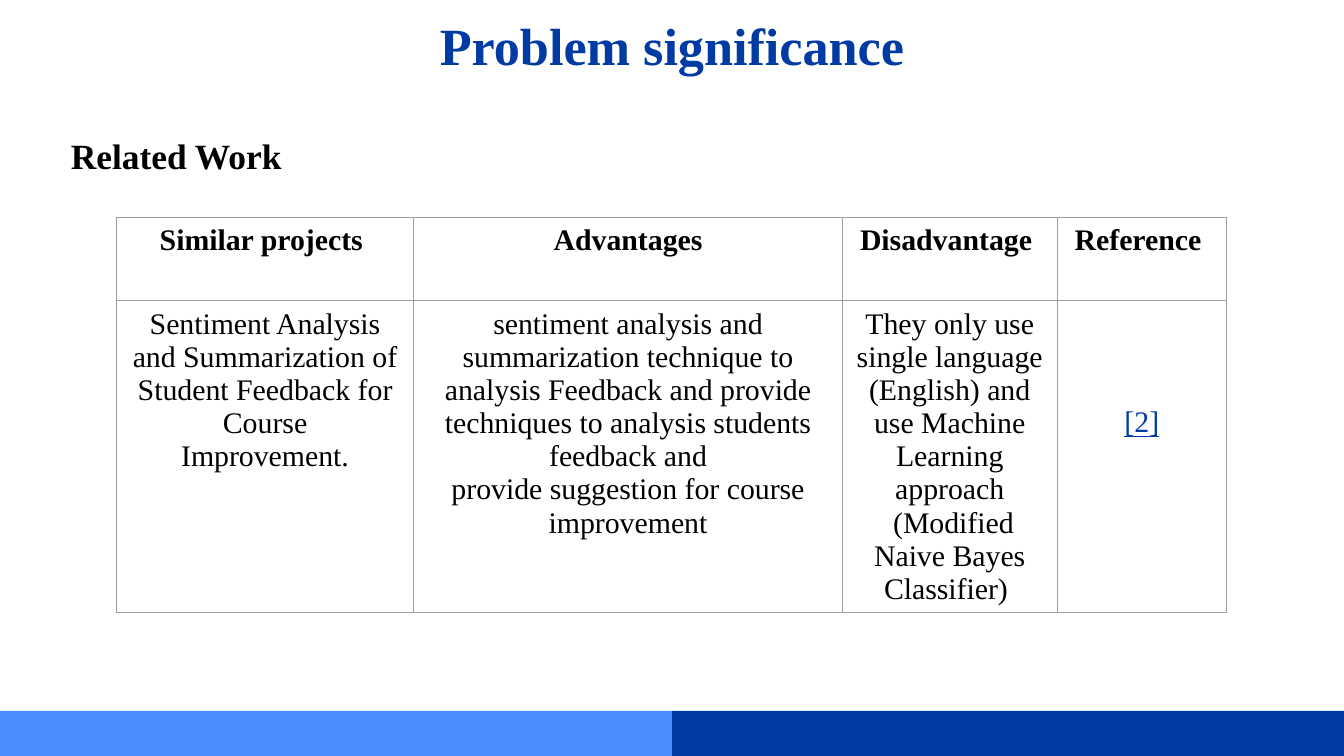
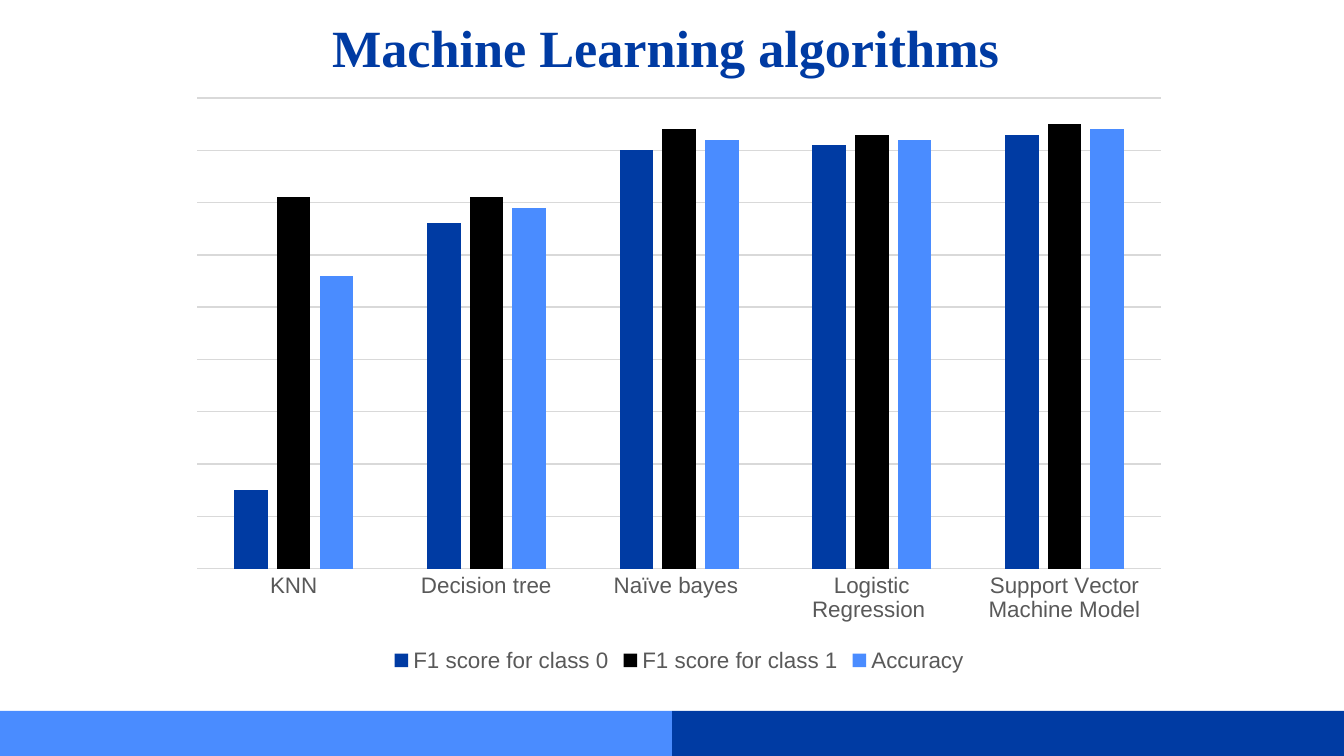
"""Build two slides on sentiment analysis: related work and algorithm scores."""
from dataclasses import dataclass
from typing import NamedTuple

from lxml.etree import SubElement
from pptx import Presentation
from pptx.chart.data import CategoryChartData
from pptx.dml.color import RGBColor
from pptx.enum.chart import XL_CHART_TYPE as ChartType, XL_LEGEND_POSITION as LegendPos
from pptx.enum.chart import XL_TICK_MARK as Tick
from pptx.enum.shapes import MSO_SHAPE as Preset
from pptx.enum.text import MSO_ANCHOR as Anchor, MSO_AUTO_SIZE as AutoSize, PP_ALIGN as Align
from pptx.oxml.ns import qn
from pptx.util import Cm, Pt


@dataclass(frozen=True)
class Theme:
    """Colours, fonts and type sizes."""
    navy: str = "003BA3"
    sky: str = "4A8CFF"
    black: str = "000000"
    label: str = "595959"
    grid: str = "D9D9D9"
    border: str = "9E9E9E"
    serif: str = "Times New Roman"
    sans: str = "Arial"
    title: float = 28
    subtitle: float = 19
    cell: float = 16
    chart: float = 12
    line: float = 0.75


class Box(NamedTuple):
    """Left, top, width and height in centimetres."""
    x: float
    y: float
    w: float
    h: float

    def emu(self) -> tuple:
        return tuple(Cm(v) for v in self)


class Band(NamedTuple):
    box: Box
    color: str


class Cell(NamedTuple):
    """Paragraphs of one table cell and their look."""
    lines: tuple
    bold: bool = False
    color: str = "000000"
    underline: bool = False
    top: float = 0.13


class Series(NamedTuple):
    name: str
    values: tuple
    color: str


T = Theme()
WIDTH, HEIGHT = 25.4, 14.29
HALF, BAND_TOP = WIDTH / 2, 13.44
BANDS = (Band(Box(HALF, BAND_TOP, HALF, HEIGHT - BAND_TOP), T.navy),
         Band(Box(0, BAND_TOP, HALF, HEIGHT - BAND_TOP), T.sky))

COLUMNS = (5.62, 8.1, 4.06, 3.2)
ROWS = (1.57, 5.89)
HEADERS = ("Similar projects ", "Advantages", "Disadvantage ", "Reference ")
RELATED_WORK = (
    tuple(Cell((h,), bold=True) for h in HEADERS),
    (Cell(("Sentiment Analysis and Summarization of Student Feedback for Course",
           "Improvement.")),
     Cell(("sentiment analysis and summarization technique to",
           "analysis Feedback and provide techniques to analysis students feedback and",
           "provide suggestion for course improvement")),
     Cell(("They only use single language ",
           "(English) and use Machine Learning approach",
           " (Modified Naive Bayes Classifier) ")),
     Cell(("[2]",), color=T.navy, underline=True, top=2)),
)

ALGORITHMS = ("KNN", "Decision tree", "Naïve bayes ", "Logistic Regression ",
              "Support Vector Machine Model")
SCORES = (Series("F1 score for class 0", (0.15, 0.66, 0.8, 0.81, 0.83), T.navy),
          Series("F1 score for class 1", (0.71, 0.71, 0.84, 0.83, 0.85), T.black),
          Series("Accuracy", (0.56, 0.69, 0.82, 0.82, 0.84), T.sky))


def rgb(color: str) -> RGBColor:
    return RGBColor.from_string(color)


def style_font(font, name: str, size: float, color: str, bold: bool = False) -> None:
    font.name, font.size, font.bold = name, Pt(size), bold
    font.color.rgb = rgb(color)


def add_run(p, text: str, size: float, color: str, bold: bool = False):
    """Centre the paragraph and add one serif run to it."""
    p.alignment = Align.CENTER
    r = p.add_run()
    r.text = text
    style_font(r.font, T.serif, size, color, bold)
    return r


def fill_placeholder(sp, box: Box, text: str, size: float, color: str, left: float = 0.25) -> None:
    """Move a placeholder and give it one bold line."""
    sp.left, sp.top, sp.width, sp.height = box.emu()
    tf = sp.text_frame
    tf.word_wrap, tf.auto_size, tf.vertical_anchor = True, AutoSize.NONE, Anchor.TOP
    tf.margin_left = Cm(left)
    tf.margin_top = tf.margin_right = tf.margin_bottom = Cm(0.25)
    p = tf.paragraphs[0]
    p.space_before = Pt(0)
    add_run(p, text, size, color, True)


def add_slide(prs, layout: int, title: str, top: float = 0):
    """Add a slide with its footer bands and title."""
    s = prs.slides.add_slide(prs.slide_layouts[layout])
    for band in BANDS:
        sp = s.shapes.add_shape(Preset.RECTANGLE, *band.box.emu())
        sp.shadow.inherit = False
        sp.fill.solid()
        sp.fill.fore_color.rgb = rgb(band.color)
        sp.line.fill.background()
    fill_placeholder(s.shapes.title, Box(0, top, WIDTH, 1.6), title, T.title, T.navy)
    return s


def draw_borders(cell) -> None:
    """Outline all four sides of a cell."""
    tc_pr = cell._tc.get_or_add_tcPr()
    for i, side in enumerate(("lnL", "lnR", "lnT", "lnB")):
        ln = tc_pr.makeelement(qn(f"a:{side}"), {"w": str(Pt(T.line))})
        SubElement(SubElement(ln, qn("a:solidFill")), qn("a:srgbClr"), val=T.border)
        tc_pr.insert(i, ln)


def add_table(s, box: Box, rows: tuple) -> None:
    """Add a plain bordered table."""
    table = s.shapes.add_table(len(ROWS), len(COLUMNS), *box.emu()).table
    table.first_row = table.horz_banding = False
    for column, width in zip(table.columns, COLUMNS):
        column.width = Cm(width)
    for row, height in zip(table.rows, ROWS):
        row.height = Cm(height)
    for i, row in enumerate(rows):
        for j, item in enumerate(row):
            cell = table.cell(i, j)
            cell.fill.background()
            cell.margin_top = Cm(item.top)
            tf = cell.text_frame
            for k, line in enumerate(item.lines):
                p = tf.add_paragraph() if k else tf.paragraphs[0]
                r = add_run(p, line, T.cell, item.color, item.bold)
                r.font.underline = item.underline
            draw_borders(cell)


def style_line(line, color: str) -> None:
    line.color.rgb = rgb(color)
    line.width = Pt(T.line)


def add_score_chart(s, box: Box) -> None:
    """Add the clustered columns comparing the algorithms."""
    data = CategoryChartData()
    data.categories = ALGORITHMS
    for series in SCORES:
        data.add_series(series.name, series.values)
    chart = s.shapes.add_chart(ChartType.COLUMN_CLUSTERED, *box.emu(), data).chart
    style_font(chart.font, T.sans, T.chart, T.label)
    chart.has_title = False
    chart.has_legend = True
    chart.legend.position = LegendPos.BOTTOM
    chart.legend.include_in_layout = False
    style_font(chart.legend.font, T.sans, T.chart, T.label)

    plot = chart.plots[0]
    plot.gap_width, plot.overlap, plot.vary_by_categories = 219, -27, False
    for drawn, series in zip(plot.series, SCORES):
        drawn.format.fill.solid()
        drawn.format.fill.fore_color.rgb = rgb(series.color)

    axis = chart.category_axis
    axis.major_tick_mark = axis.minor_tick_mark = Tick.NONE
    style_font(axis.tick_labels.font, T.sans, T.chart, T.label)
    style_line(axis.format.line, T.grid)
    axis = chart.value_axis
    axis.visible = False
    axis.minimum_scale, axis.maximum_scale, axis.major_unit = 0, 0.9, 0.1
    axis.has_major_gridlines = True
    style_line(axis.major_gridlines.format.line, T.grid)


def main() -> None:
    prs = Presentation()
    prs.slide_width, prs.slide_height = Cm(WIDTH), Cm(HEIGHT)

    s = add_slide(prs, 0, "Problem significance")
    fill_placeholder(s.placeholders[1], Box(0.69, 2.29, 4.98, 1.14), "Related Work",
                     T.subtitle, T.black, left=0.55)
    add_table(s, Box(2.2, 4.11, sum(COLUMNS), sum(ROWS)), RELATED_WORK)

    s = add_slide(prs, 5, "Machine Learning algorithms ", top=0.03)
    add_score_chart(s, Box(3.35, 1.63, 18.97, 11.18))

    prs.save("out.pptx")


if __name__ == "__main__":
    main()
